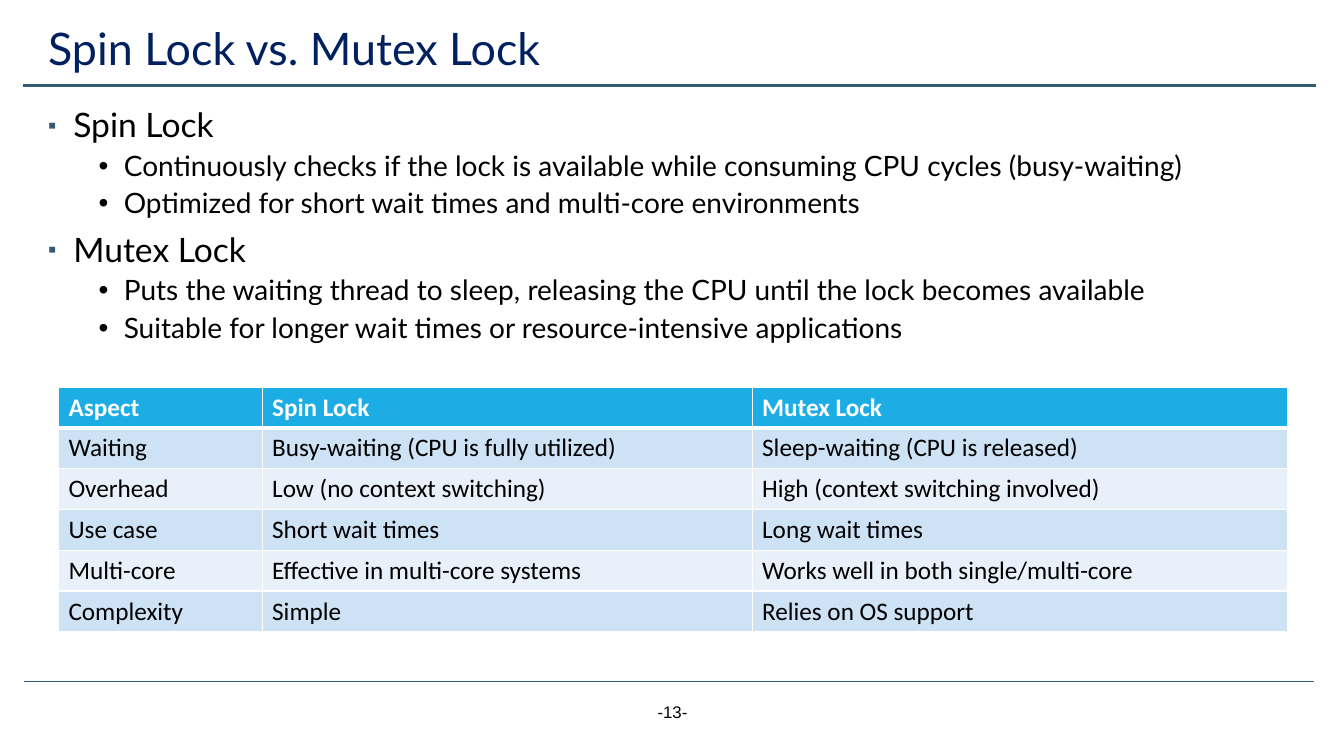
from dataclasses import dataclass

from lxml import etree
from pptx import Presentation
from pptx.dml.color import RGBColor
from pptx.enum.shapes import MSO_CONNECTOR, MSO_SHAPE
from pptx.enum.text import MSO_ANCHOR, PP_ALIGN
from pptx.oxml.ns import qn
from pptx.util import Inches, Pt

STRAIGHT = MSO_CONNECTOR.STRAIGHT
RECT = MSO_SHAPE.RECTANGLE
TOP, MIDDLE = MSO_ANCHOR.TOP, MSO_ANCHOR.MIDDLE
LEFT, CENTER = PP_ALIGN.LEFT, PP_ALIGN.CENTER

WHITE, BLACK, NAVY, SLATE = "FFFFFF", "000000", "002060", "335B74"
HEAD, BANDS = "1CADE4", ("E8F1FA", "CDE3F5")


@dataclass
class Rule:
    left: float
    right: float
    y: float
    width: float


@dataclass
class Level:
    mark: str
    indent: float
    before: float
    size: float
    tint: str
    scale: int


@dataclass
class Point:
    level: Level
    text: str


MAIN = Level("▪", 0.25, 10, 24, SLATE, 70)
SUB = Level("•", 0.75, 5, 20, BLACK, 100)

RULES = [Rule(0.24, 13.03, 6.76, 0.5), Rule(0.23, 13.05, 0.85, 1.75)]

POINTS = [
    Point(MAIN, "Spin Lock"),
    Point(SUB, "Continuously checks if the lock is available while consuming CPU cycles (busy-waiting)"),
    Point(SUB, "Optimized for short wait times and multi-core environments"),
    Point(MAIN, "Mutex Lock"),
    Point(SUB, "Puts the waiting thread to sleep, releasing the CPU until the lock becomes available"),
    Point(SUB, "Suitable for longer wait times or resource-intensive applications"),
]

COLS = [2.02, 4.86, 5.31]
ROWS = [
    ("Aspect", "Spin Lock", "Mutex Lock"),
    ("Waiting", "Busy-waiting (CPU is fully utilized)", "Sleep-waiting (CPU is released)"),
    ("Overhead", "Low (no context switching)", "High (context switching involved)"),
    ("Use case", "Short wait times", "Long wait times"),
    ("Multi-core", "Effective in multi-core systems", "Works well in both single/multi-core"),
    ("Complexity", "Simple", "Relies on OS support"),
]


def tone(code: str) -> RGBColor:
    return RGBColor.from_string(code)


def apply(target, values: dict) -> None:
    for name, value in values.items():
        setattr(target, name, value)


def write(para, text: str, font: str, size: float, color: str, bold: bool = False) -> None:
    run = para.add_run()
    run.text = text
    apply(run.font, {"name": font, "size": Pt(size), "bold": bold})
    run.font.color.rgb = tone(color)


def node(parent, tag: str, **attrs: str):
    return etree.SubElement(parent, qn(tag), attrs)


def draw_rule(slide, rule: Rule) -> None:
    y = Inches(rule.y)
    line = slide.shapes.add_connector(STRAIGHT, Inches(rule.left), y, Inches(rule.right), y)
    line.line.color.rgb = tone(SLATE)
    line.line.width = Pt(rule.width)
    node(line._element.spPr, "a:effectLst")


def add_box(slide, left: float, top: float, width: float, height: float, anchor):
    box = slide.shapes.add_textbox(Inches(left), Inches(top), Inches(width), Inches(height))
    apply(box.text_frame, {"word_wrap": True, "vertical_anchor": anchor})
    return box.text_frame.paragraphs[0]


def add_point(para, point: Point) -> None:
    level = point.level
    apply(para, {"alignment": LEFT, "line_spacing": 0.9, "space_before": Pt(level.before),
                 "level": int(level is SUB)})
    props = para._p.get_or_add_pPr()
    props.set("marL", str(Inches(level.indent)))
    props.set("indent", str(Inches(-0.25)))
    node(node(props, "a:buClr"), "a:srgbClr", val=level.tint)
    node(props, "a:buSzPct", val=str(level.scale * 1000))
    node(props, "a:buFont", typeface="Arial")
    node(props, "a:buChar", char=level.mark)
    write(para, point.text, "Lato", level.size, BLACK)


def add_body(slide) -> None:
    body = slide.shapes.add_shape(RECT, Inches(0.38), Inches(1.03), Inches(12.43), Inches(5.62))
    body.shadow.inherit = False
    body.fill.solid()
    body.fill.fore_color.rgb = tone(WHITE)
    body.line.fill.background()
    frame = body.text_frame
    apply(frame, {"word_wrap": True, "vertical_anchor": TOP})
    for i, point in enumerate(POINTS):
        add_point(frame.add_paragraph() if i else frame.paragraphs[0], point)


def add_edges(cell, row: int) -> None:
    props = cell._tc.get_or_add_tcPr()
    widths = {"L": 1, "R": 1, "T": 3 if row == 1 else 1, "B": 3 if row == 0 else 1}
    for side, width in widths.items():
        edge = node(props, f"a:ln{side}", w=str(Pt(width)))
        node(node(edge, "a:solidFill"), "a:srgbClr", val=WHITE)


def add_grid(slide) -> None:
    high = Inches(2.43)
    table = slide.shapes.add_table(len(ROWS), len(COLS), Inches(0.58), Inches(3.84),
                                   Inches(sum(COLS)), high).table
    for col, width in zip(table.columns, COLS):
        col.width = Inches(width)
    for r, texts in enumerate(ROWS):
        head = r == 0
        for c, text in enumerate(texts):
            cell = table.cell(r, c)
            add_edges(cell, r)
            cell.fill.solid()
            cell.fill.fore_color.rgb = tone(HEAD if head else BANDS[r % 2])
            write(cell.text_frame.paragraphs[0], text, "Calibri", 18,
                  WHITE if head else BLACK, head)


def main() -> None:
    deck = Presentation()
    apply(deck, {"slide_width": Inches(13.33), "slide_height": Inches(7.5)})
    slide = deck.slides.add_slide(deck.slide_layouts[6])
    for rule in RULES:
        draw_rule(slide, rule)
    page = add_box(slide, 5.17, 6.91, 3, 0.4, TOP)
    page.alignment = CENTER
    write(page, "-13-", "Arial", 12, BLACK)
    title = add_box(slide, 0.38, 0.19, 12.43, 0.63, MIDDLE)
    title.line_spacing = 0.9
    write(title, "Spin Lock vs. Mutex Lock", "Lato", 32, NAVY)
    add_body(slide)
    add_grid(slide)
    deck.save("out.pptx")


if __name__ == "__main__":
    main()
